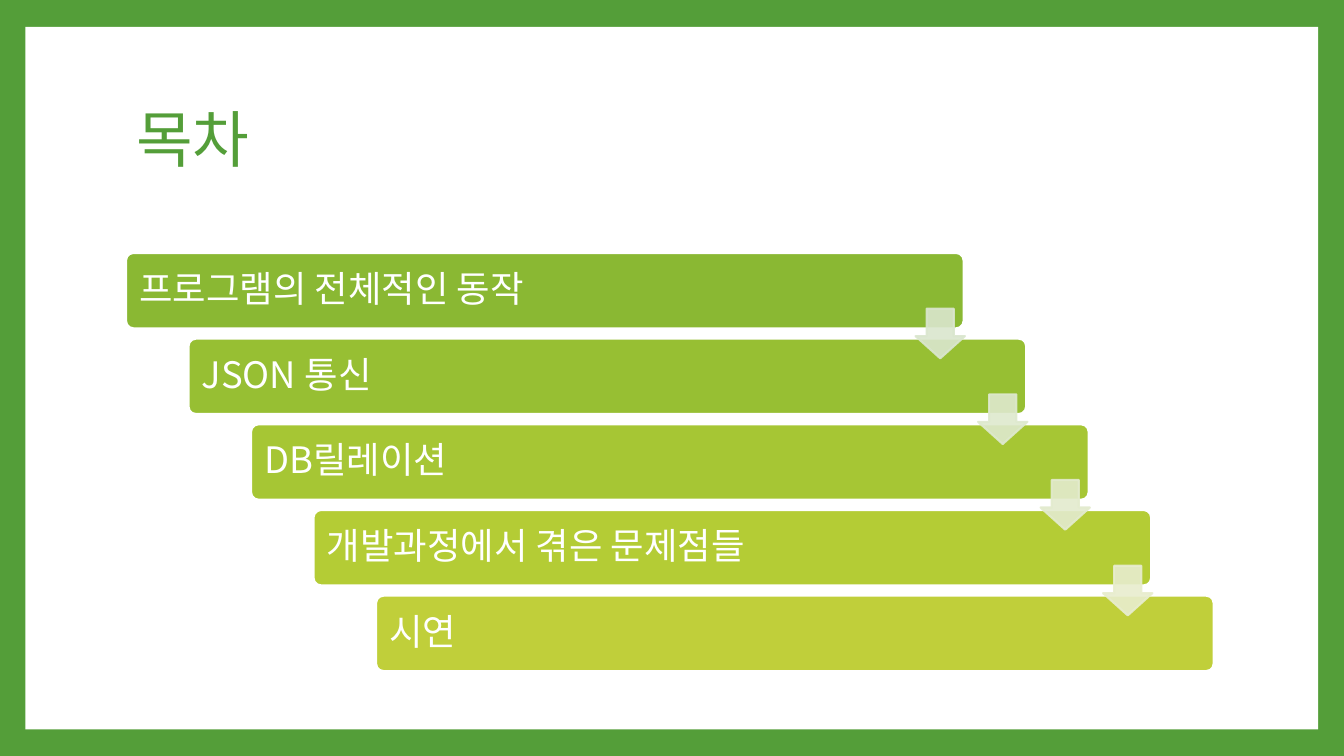
from lxml.etree import SubElement
from pptx import Presentation
from pptx.dml.color import RGBColor
from pptx.enum.shapes import MSO_SHAPE as SHAPE
from pptx.enum.text import MSO_ANCHOR as ANCHOR, MSO_AUTO_SIZE as AUTO, PP_ALIGN as ALIGN
from pptx.oxml.ns import qn
from pptx.util import Inches, Pt


def color(value):
    return RGBColor.from_string(value)


def write(sp, text, size, ink, font, inset=0.1):
    tf = sp.text_frame
    tf.word_wrap = True
    tf.auto_size = AUTO.NONE
    tf.vertical_anchor = ANCHOR.MIDDLE
    tf.margin_left = tf.margin_right = Inches(inset)
    p = tf.paragraphs[0]
    p.alignment = ALIGN.LEFT
    p.line_spacing = 0.9
    r = p.add_run()
    r.text = text
    r.font.size = Pt(size)
    r.font.name = font
    r.font.color.rgb = color(ink)
    SubElement(r.font._element, qn("a:ea")).set("typeface", font)


class Deck:
    font = "Noto Sans CJK KR"
    green, white = "549E39", "FFFFFF"
    left, top, col, row = 1.25, 2.51, 0.62, 0.85

    def __init__(self):
        self.prs = Presentation()
        self.prs.slide_width, self.prs.slide_height = Inches(13.33), Inches(7.5)
        self.s = self.prs.slides.add_slide(self.prs.slide_layouts[5])
        fill = self.s.background.fill
        fill.solid()
        fill.fore_color.rgb = color(self.green)

    def box(self, x, y, w, h):
        return [Inches(v) for v in (self.left + x * self.col, self.top + y * self.row,
                                    w * self.col, h * self.row)]

    def shape(self, kind, cell, fill, line=None, adj=(), alpha=None):
        sp = self.s.shapes.add_shape(kind, *self.box(*cell))
        sp.shadow.inherit = False
        for i, value in enumerate(adj):
            sp.adjustments[i] = value
        sp.fill.solid()
        sp.fill.fore_color.rgb = color(fill)
        if line:
            sp.line.color.rgb = color(line)
            sp.line.width = Pt(1.5)
        else:
            sp.line.fill.background()
        if alpha:
            for clr in sp._element.spPr.iter(qn("a:srgbClr")):
                SubElement(clr, qn("a:alpha")).set("val", str(alpha * 1000))
        return sp

    def frame(self):
        self.shape(SHAPE.RECTANGLE, (-1.61, -2.64, 20.68, 8.2), self.white)

    def title(self, text):
        sp = self.s.shapes.title
        sp.left, sp.top, sp.width, sp.height = self.box(0, -2.16, 17.42, 1.74)
        write(sp, text, 44, self.green, self.font)
        self.s.shapes._spTree.append(sp._element)

    def bar(self, i, text, fill):
        sp = self.shape(SHAPE.ROUNDED_RECTANGLE, (i, i, 13.4, 0.88), fill, self.white, [0.1])
        write(sp, text, 26, self.white, self.font, inset=0.11)

    def arrow(self, i, fill):
        self.shape(SHAPE.DOWN_ARROW, (i + 12.63, i + 0.65, 0.79, 0.58), fill, fill,
                   [0.55, 0.45], alpha=90)


STEPS = [
    ("프로그램의 전체적인 동작", "8AB833"),
    ("JSON 통신", "97BF33"),
    ("DB릴레이션", "A6C634"),
    ("개발과정에서 겪은 문제점들", "B4CC35"),
    ("시연", "C0CF3A"),
]
ARROWS = ["DAE6CE", "DEE9CE", "E3EBCE", "E8EDCE"]

deck = Deck()
deck.frame()
deck.title("목차")
for i, (text, fill) in enumerate(STEPS):
    deck.bar(i, text, fill)
for i, fill in enumerate(ARROWS):
    deck.arrow(i, fill)
deck.prs.save("out.pptx")
